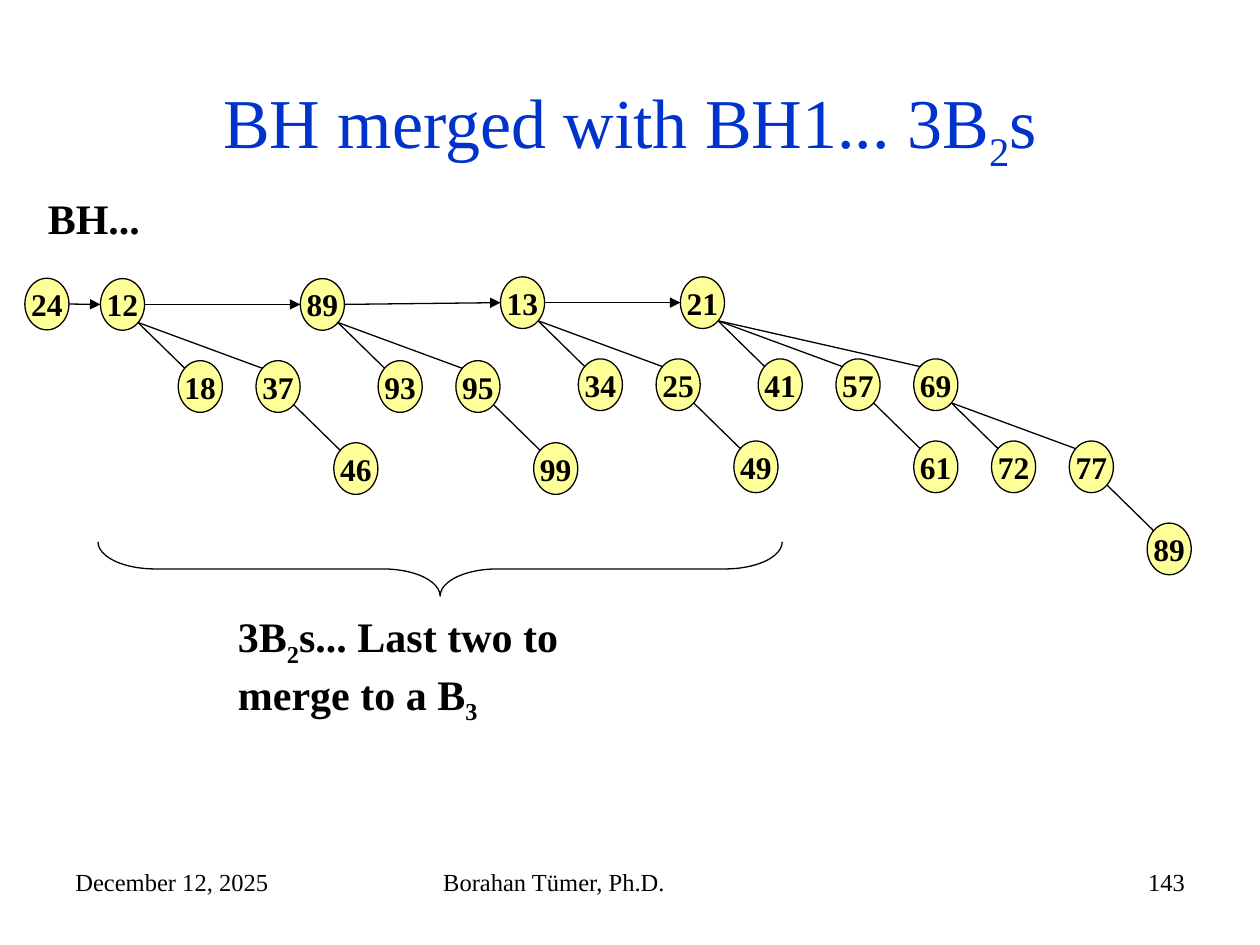
from dataclasses import dataclass

from lxml.etree import SubElement
from pptx import Presentation
from pptx.dml.color import RGBColor
from pptx.enum.shapes import MSO_CONNECTOR, MSO_SHAPE
from pptx.enum.text import MSO_ANCHOR, PP_ALIGN
from pptx.oxml.ns import qn
from pptx.util import Pt

COLORS = {"ink": "000000", "title": "0033CC", "node": "FFFF99"}
FONT = "Times New Roman"
NODE_W, NODE_H = 25.2, 29.5
STEP_X, STEP_Y = 44.45, 46.9
INSET = 0.15


@dataclass(frozen=True)
class Node:
    key: int
    col: int = 0
    row: int = 0
    parent: int = 0


@dataclass(frozen=True)
class Tree:
    x: float
    y: float
    nodes: tuple[Node, ...]

    def corner(self, node: Node) -> tuple[float, float]:
        return self.x + node.col * STEP_X, self.y + node.row * STEP_Y


@dataclass(frozen=True)
class Label:
    x: float
    y: float
    w: float
    h: float
    runs: tuple[str, ...]
    size: int
    bold: bool = False
    color: str = "ink"
    align: PP_ALIGN = PP_ALIGN.LEFT
    anchor: MSO_ANCHOR = MSO_ANCHOR.TOP


def b2(x: float, y: float, root: int, leaf: int, child: int, grandchild: int) -> Tree:
    return Tree(x, y, (Node(root), Node(leaf, 1, 1, 0), Node(child, 2, 1, 0),
                       Node(grandchild, 3, 2, 2)))


TREES = (
    Tree(14.2, 159, (Node(24),)),
    b2(57.4, 159.2, 12, 18, 37, 46),
    b2(171.6, 159.2, 89, 93, 95, 99),
    b2(286, 158.2, 13, 34, 25, 49),
    Tree(388.8, 158.2, (
        Node(21), Node(41, 1, 1, 0), Node(57, 2, 1, 0), Node(69, 3, 1, 0),
        Node(61, 3, 2, 2), Node(72, 4, 2, 3), Node(77, 5, 2, 3), Node(89, 6, 3, 6),
    )),
)

LABELS = (
    Label(36, 21.6, 648, 101.5, ("BH merged with BH1... 3B", "2", "s"), 40,
          color="title", align=PP_ALIGN.CENTER, anchor=MSO_ANCHOR.MIDDLE),
    Label(20.2, 106.6, 75.6, 36, ("BH...",), 24, bold=True),
    Label(128.9, 345.6, 247.7, 64.8,
          ("3B", "2", "s... Last two to merge to a B", "3"), 24, bold=True),
    Label(36, 491.8, 168, 37.4, ("December 12, 2025",), 14),
    Label(246.2, 491.8, 228.2, 37.4, ("Borahan Tümer, Ph.D.",), 14),
    Label(516.2, 491.8, 168, 37.4, ("143",), 14, align=PP_ALIGN.RIGHT),
)


def rgb(name: str) -> RGBColor:
    return RGBColor.from_string(COLORS[name])


def style_text(p, size: int, bold: bool, color: str, align: PP_ALIGN) -> None:
    p.alignment = align
    p.font.name = FONT
    p.font.size = Pt(size)
    p.font.bold = bold
    p.font.color.rgb = rgb(color)


def style_line(sp) -> None:
    sp.line.color.rgb = rgb("ink")
    sp.line.width = Pt(0.75)


def add_label(s, label: Label) -> None:
    sp = s.shapes.add_textbox(Pt(label.x), Pt(label.y), Pt(label.w), Pt(label.h))
    tf = sp.text_frame
    tf.word_wrap = True
    tf.vertical_anchor = label.anchor
    p = tf.paragraphs[0]
    for i, text in enumerate(label.runs):
        r = p.add_run()
        r.text = text
        if i % 2:
            r._r.get_or_add_rPr().set("baseline", "-25000")
    style_text(p, label.size, label.bold, label.color, label.align)


def add_line(s, start: tuple[float, float], end: tuple[float, float],
             arrow: bool = False) -> None:
    sp = s.shapes.add_connector(MSO_CONNECTOR.STRAIGHT, *map(Pt, start + end))
    style_line(sp)
    if arrow:
        SubElement(sp.line._get_or_add_ln(), qn("a:tailEnd"), type="triangle")
    SubElement(sp._element.spPr, qn("a:effectLst"))


def add_node(s, x: float, y: float, key: int) -> None:
    sp = s.shapes.add_shape(MSO_SHAPE.OVAL, Pt(x), Pt(y), Pt(NODE_W), Pt(NODE_H))
    sp.shadow.inherit = False
    sp.fill.solid()
    sp.fill.fore_color.rgb = rgb("node")
    style_line(sp)
    tf = sp.text_frame
    tf.word_wrap = False
    tf.vertical_anchor = MSO_ANCHOR.MIDDLE
    p = tf.paragraphs[0]
    p.text = str(key)
    style_text(p, 18, True, "ink", PP_ALIGN.CENTER)


def add_tree(s, tree: Tree) -> None:
    for node in tree.nodes:
        add_node(s, *tree.corner(node), node.key)
    for node in tree.nodes[1:]:
        px, py = tree.corner(tree.nodes[node.parent])
        x, y = tree.corner(node)
        add_line(s, (px + (1 - INSET) * NODE_W, py + (1 - INSET) * NODE_H),
                 (x + INSET * NODE_W, y + INSET * NODE_H))


def add_brace(s, x: float, y: float, w: float, h: float) -> None:
    sp = s.shapes.add_shape(MSO_SHAPE.LEFT_BRACE, Pt(x + (w - h) / 2),
                            Pt(y + (h - w) / 2), Pt(h), Pt(w))
    sp.rotation = 270
    sp.adjustments[0] = 1.055
    sp.shadow.inherit = False
    sp.fill.background()
    style_line(sp)


def main() -> None:
    """Build the slide of binomial trees left after merging two heaps."""
    prs = Presentation()
    prs.slide_width, prs.slide_height = Pt(720), Pt(540)
    s = prs.slides.add_slide(prs.slide_layouts[6])
    for label in LABELS:
        add_label(s, label)
    for tree in TREES:
        add_tree(s, tree)
    for left, right in zip(TREES, TREES[1:]):
        add_line(s, (left.x + NODE_W, left.y + NODE_H / 2),
                 (right.x, right.y + NODE_H / 2), arrow=True)
    add_brace(s, 56, 309.6, 391, 31)
    prs.save("out.pptx")


if __name__ == "__main__":
    main()
